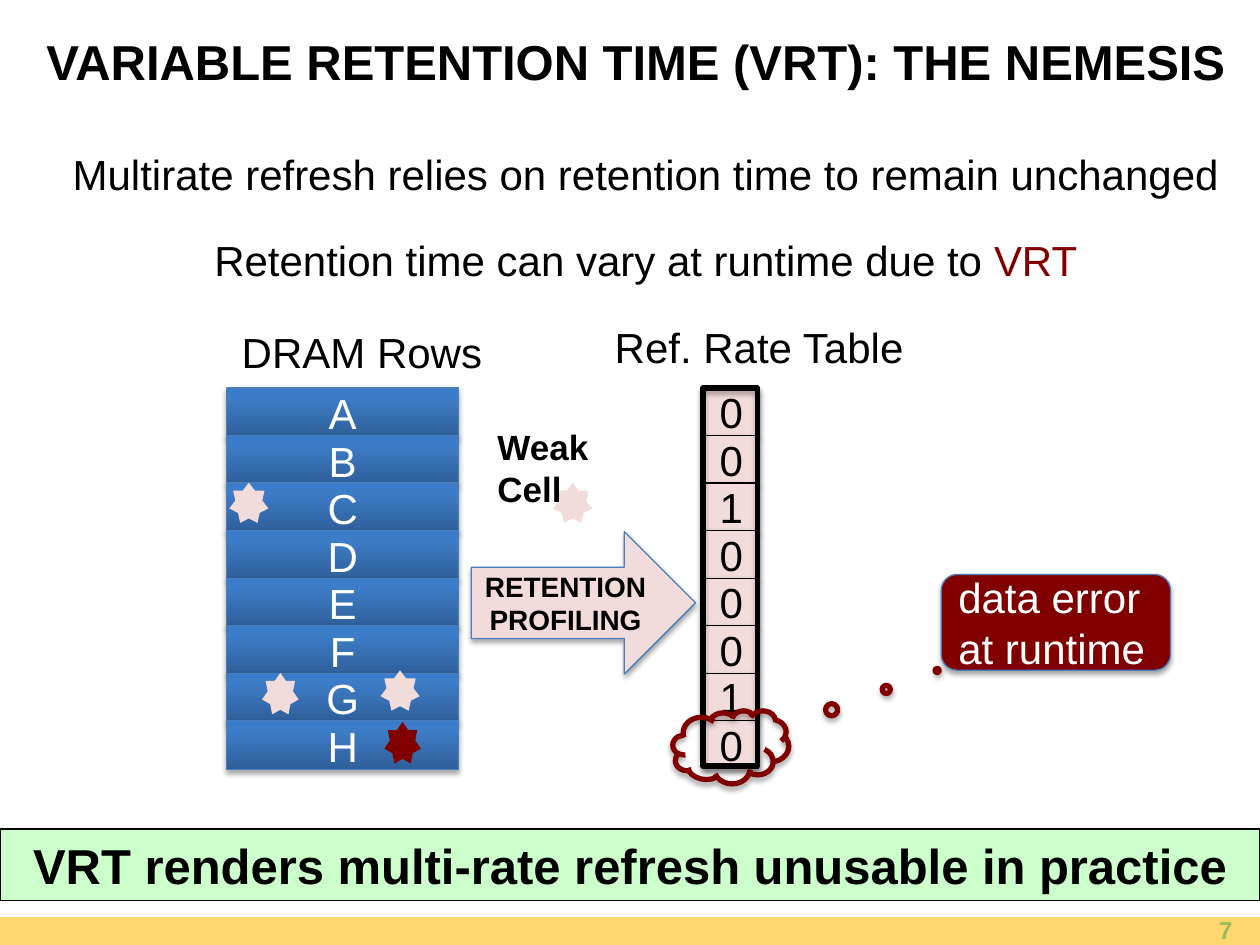
from copy import deepcopy

from lxml.etree import SubElement
from pptx import Presentation
from pptx.dml.color import RGBColor
from pptx.enum.shapes import MSO_SHAPE
from pptx.enum.text import MSO_ANCHOR, PP_ALIGN
from pptx.oxml.ns import qn
from pptx.util import Inches, Pt

BLACK, WHITE = "000000", "FFFFFF"
MAROON, PINK, BLUE = "800000", "F2DCDB", "4B7EBC"
ROW_GRADIENT = [(0, "2F5F99"), (0.8, "3D7CC7"), (1, "3A7CCB")]


def color(hex_string):
    return RGBColor.from_string(hex_string)


class SlideBuilder:
    font_name = "Arial"

    def __init__(self, slide):
        self.slide = slide

    def add_lines(self, shape, lines, size, text_color, bold=False,
                  align=PP_ALIGN.LEFT, anchor=MSO_ANCHOR.TOP, gap=0):
        """Each line is a list of (text, color or None) runs or a plain string."""
        frame = shape.text_frame
        frame.vertical_anchor = anchor
        for index, line in enumerate(lines):
            paragraph = frame.paragraphs[0] if index == 0 else frame.add_paragraph()
            paragraph.alignment = align
            if index and gap:
                paragraph.space_before = Pt(gap)
            paragraph.font.name = self.font_name
            paragraph.font.size = Pt(size)
            paragraph.font.bold = bold
            paragraph.font.color.rgb = color(text_color)
            for text, run_color in [(line, None)] if isinstance(line, str) else line:
                run = paragraph.add_run()
                run.text = text
                if run_color:
                    run.font.color.rgb = color(run_color)

    def text(self, box, lines, size=24, text_color=BLACK, wrap=True, **style):
        shape = self.slide.shapes.add_textbox(*map(Inches, box))
        shape.text_frame.word_wrap = wrap
        self.add_lines(shape, lines, size, text_color, **style)

    def shape(self, kind, box, fill=None, line=None, width=0.75, shadow=False):
        shape = self.slide.shapes.add_shape(kind, *map(Inches, box))
        if isinstance(fill, list):
            self.gradient(shape, fill)
        elif fill:
            shape.fill.solid()
            shape.fill.fore_color.rgb = color(fill)
        else:
            shape.fill.background()
        if line:
            shape.line.color.rgb = color(line)
            shape.line.width = Pt(width)
        else:
            shape.line.fill.background()
        shape.shadow.inherit = False
        if shadow:
            self.drop_shadow(shape)
        return shape

    def gradient(self, shape, stops):
        shape.fill.gradient()
        shape.fill.gradient_angle = 90
        stop_list = next(shape._element.spPr.iter(qn("a:gsLst")))
        while len(stop_list) < len(stops):
            stop_list.append(deepcopy(stop_list[-1]))
        for stop, (position, stop_color) in zip(shape.fill.gradient_stops, stops):
            stop.position = position
            stop.color.rgb = color(stop_color)

    def drop_shadow(self, shape):
        effects = shape._element.spPr.find(qn("a:effectLst"))
        outer = SubElement(effects, qn("a:outerShdw"), blurRad=str(Pt(3.1)),
                           dist=str(Pt(1.8)), dir="5400000", rotWithShape="0")
        shadow_color = SubElement(outer, qn("a:srgbClr"), val=BLACK)
        SubElement(shadow_color, qn("a:alpha"), val="35000")

    def column(self, left, width, height, labels, fill, line, text_color):
        top, pitch = 3.08, 2.64 / 7
        for index, label in enumerate(labels):
            cell = self.shape(MSO_SHAPE.RECTANGLE,
                              (left, top + index * pitch, width, height),
                              fill, line, shadow=True)
            self.add_lines(cell, [label], 24, text_color, align=PP_ALIGN.CENTER,
                           anchor=MSO_ANCHOR.MIDDLE)

    def star(self, left, top, width=0.31, height=0.32, fill=PINK):
        self.shape(MSO_SHAPE.STAR_7_POINT, (left, top, width, height), fill)


def main():
    presentation = Presentation()
    presentation.slide_width = Inches(10)
    presentation.slide_height = Inches(7.5)
    builder = SlideBuilder(presentation.slides.add_slide(presentation.slide_layouts[6]))

    # Footer bar, title and opening statements
    builder.shape(MSO_SHAPE.RECTANGLE, (0, 7.28, 10, 0.23), "FFD86D")
    builder.text((0.25, 1.13, 9.75, 1.69),
                 ["Multirate refresh relies on retention time to remain unchanged",
                  [("Retention time can vary at runtime due to ", None), ("VRT", MAROON)]],
                 align=PP_ALIGN.CENTER, gap=20.5)
    builder.text((7.55, 7.25, 2.33, 0.26), ["7"], 14, "9BBB59", bold=True,
                 align=PP_ALIGN.RIGHT, anchor=MSO_ANCHOR.MIDDLE)
    builder.text((0.27, 0.22, 9.73, 0.53),
                 ["VARIABLE RETENTION TIME (VRT): THE NEMESIS"], 28, bold=True,
                 anchor=MSO_ANCHOR.MIDDLE)

    # Conclusion banner
    banner = builder.shape(MSO_SHAPE.RECTANGLE, (0, 6.58, 10, 0.57), "CCFFCC", BLACK)
    builder.add_lines(banner, ["VRT renders multi-rate refresh unusable in practice"], 28,
                      BLACK, bold=True, align=PP_ALIGN.CENTER)

    # Memory rows
    builder.column(1.8, 1.84, 0.39, "ABCDEFGH", ROW_GRADIENT, BLUE, WHITE)
    builder.text((1.82, 2.54, 2.13, 0.5), ["DRAM Rows"], wrap=False)

    # Profiling arrow
    arrow = builder.shape(MSO_SHAPE.RIGHT_ARROW, (3.74, 4.22, 1.78, 1.13), PINK, BLUE,
                          shadow=True)
    builder.add_lines(arrow, ["RETENTION", "PROFILING"], 16, BLACK, bold=True,
                      align=PP_ALIGN.CENTER, anchor=MSO_ANCHOR.MIDDLE)

    # Weak cells and their legend
    for left, top in [(3.02, 5.32), (1.82, 3.83), (4.39, 3.83)]:
        builder.star(left, top)
    builder.text((3.85, 3.33, 1.36, 0.44), ["Weak Cell"], 20, bold=True)
    builder.star(2.08, 5.34, 0.29, 0.33)

    # Refresh rate table
    builder.column(5.59, 0.43, 0.38, "00100010", PINK, BLACK, BLACK)
    builder.shape(MSO_SHAPE.RECTANGLE, (5.58, 3.08, 0.43, 3), None, BLACK, 3, shadow=True)
    builder.text((4.78, 2.5, 2.52, 0.5), ["Ref. Rate Table"], wrap=False)

    # Cell that fails at runtime
    builder.star(3.05, 5.73, 0.29, 0.33, MAROON)
    cloud = builder.shape(MSO_SHAPE.CLOUD_CALLOUT, (5.34, 5.64, 0.92, 0.58), None,
                          MAROON, 3, shadow=True)
    cloud.adjustments[0], cloud.adjustments[1] = 1.78, -1.05
    error_box = builder.shape(MSO_SHAPE.ROUNDED_RECTANGLE, (7.47, 4.56, 1.82, 0.76),
                              MAROON, BLUE, shadow=True)
    builder.add_lines(error_box, ["data error", "at runtime"], 24, WHITE,
                      anchor=MSO_ANCHOR.MIDDLE)

    presentation.save("out.pptx")


if __name__ == "__main__":
    main()
